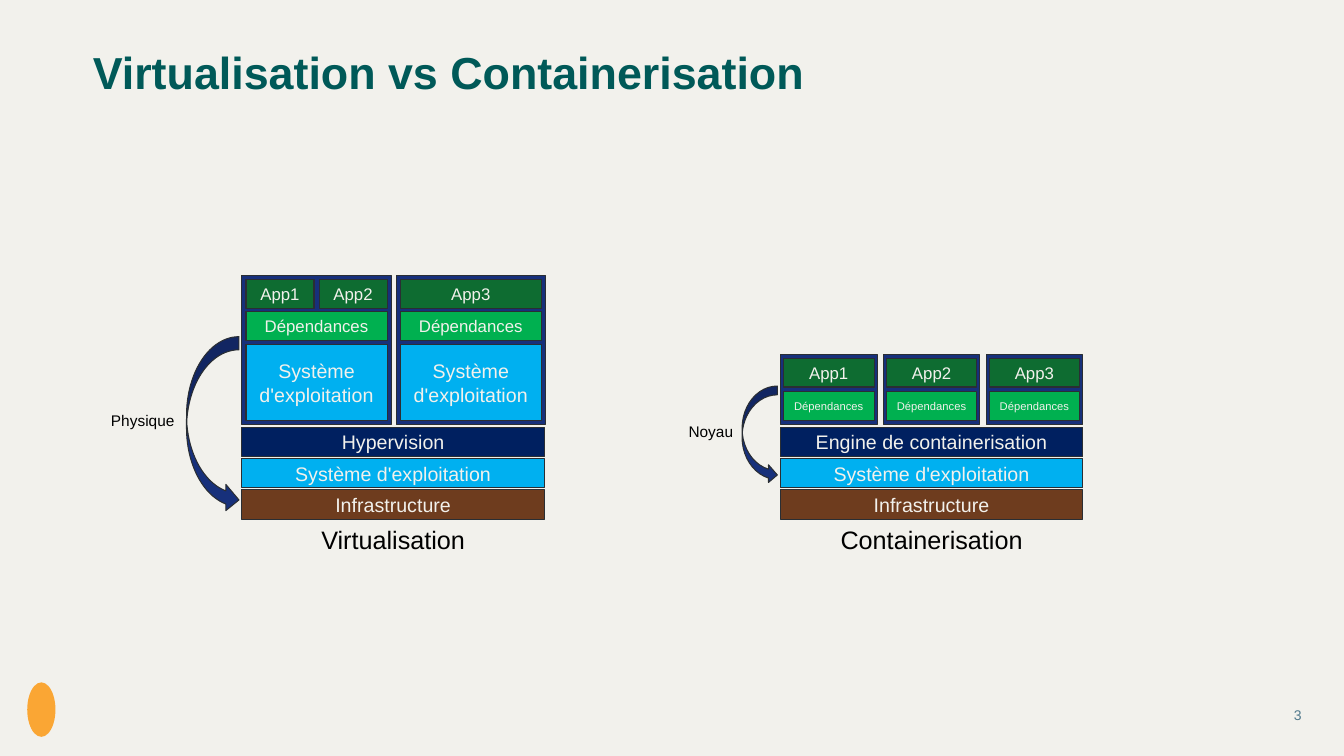
from pptx import Presentation
from pptx import util as u
from pptx.dml.color import RGBColor
from pptx.enum import shapes, text

CREAM = RGBColor(0xF2, 0xF1, 0xEC)
TEAL = RGBColor(0x00, 0x59, 0x58)
SLATE = RGBColor(0x51, 0x79, 0x8C)
ORANGE = RGBColor(0xFA, 0xA6, 0x34)
OUTLINE = RGBColor(0x2A, 0x2E, 0x33)
BLACK = RGBColor(0, 0, 0)
BLUE = RGBColor(0x17, 0x30, 0x7B)
NAVY = RGBColor(0x00, 0x20, 0x60)
SKY = RGBColor(0x00, 0xB0, 0xF0)
GREEN = RGBColor(0x00, 0xB0, 0x50)
FOREST = RGBColor(0x0E, 0x6C, 0x31)
BROWN = RGBColor(0x6E, 0x3C, 0x1E)

SHAPE = shapes.MSO_SHAPE
ALIGN = text.PP_ALIGN
MIDDLE = text.MSO_ANCHOR.MIDDLE

prs = Presentation()
prs.slide_width, prs.slide_height = u.Inches(13.33), u.Inches(7.5)
slide = prs.slides.add_slide(prs.slide_layouts[5])
slide.background.fill.solid()
slide.background.fill.fore_color.rgb = CREAM


def add_block(x, y, w, h, fill, label="", size=14, kind=SHAPE.RECTANGLE):
    sp = slide.shapes.add_shape(kind, *map(u.Inches, (x, y, w, h)))
    sp.shadow.inherit = False
    sp.fill.solid()
    sp.fill.fore_color.rgb = fill
    sp.line.color.rgb = OUTLINE
    sp.line.width = u.Pt(0.75)
    if label:
        tf = sp.text_frame
        tf.text = label
        tf.vertical_anchor = MIDDLE
        for p in tf.paragraphs:
            p.alignment = ALIGN.CENTER
            p.font.name, p.font.size = "Arial", u.Pt(size)
            p.font.color.rgb = CREAM
    return sp


def add_label(x, y, w, h, label, size, align, color=BLACK):
    tf = slide.shapes.add_textbox(*map(u.Inches, (x, y, w, h))).text_frame
    tf.word_wrap = True
    p = tf.paragraphs[0]
    p.text, p.alignment = label, align
    p.font.name, p.font.size = "Arial", u.Pt(size)
    p.font.color.rgb = color
    return tf


# Title
title = slide.shapes.title
title.left, title.top = u.Inches(0.92), u.Inches(0.5)
title.width, title.height = u.Inches(11.52), u.Inches(1.45)
tf = title.text_frame
tf.text = "Virtualisation vs Containerisation"
tf.auto_size = text.MSO_AUTO_SIZE.NONE
tf.vertical_anchor = text.MSO_ANCHOR.TOP
tf.margin_left = tf.margin_right = tf.margin_top = tf.margin_bottom = 0
p = tf.paragraphs[0]
p.alignment, p.line_spacing = ALIGN.LEFT, 0.9
p.font.name, p.font.size, p.font.bold = "Arial", u.Pt(32), True
p.font.color.rgb = TEAL

# Shared layers under each stack, with its caption
VM_X, BOX_X, STACK_W = 2.4, 7.74, 3
LAYER_Y, LAYER_STEP, ROW_H = 4.24, 0.31, 0.29
for x, engine, caption in ((VM_X, "Hypervision", "Virtualisation"),
                           (BOX_X, "Engine de containerisation", "Containerisation")):
    layers = ((engine, NAVY), ("Système d'exploitation", SKY), ("Infrastructure", BROWN))
    for i, (name, fill) in enumerate(layers):
        add_block(x, LAYER_Y + i * LAYER_STEP, STACK_W, ROW_H, fill, name)
    add_label(x, 5.15, STACK_W, 0.4, caption, 18, ALIGN.CENTER)

# Virtual machines
VM_TOP, VM_SIZE, VM_STEP, VM_INNER, APP_GAP = 2.73, 1.48, 1.53, 1.4, 0.05
for i, apps in enumerate((("App1", "App2"), ("App3",))):
    x = VM_X + i * VM_STEP
    inner = x + 0.04
    add_block(x, VM_TOP, VM_SIZE, VM_SIZE, BLUE)
    add_block(inner, 3.42, VM_INNER, 0.75, SKY, "Système\nd'exploitation")
    add_block(inner, 3.09, VM_INNER, ROW_H, GREEN, "Dépendances", 12)
    app_w = (VM_INNER - APP_GAP * (len(apps) - 1)) / len(apps)
    for j, app in enumerate(apps):
        add_block(inner + j * (app_w + APP_GAP), 2.77, app_w, ROW_H, FOREST, app, 12)

# Containers
for i, app in enumerate(("App1", "App2", "App3")):
    x = BOX_X + i * 1.02
    add_block(x, 3.52, 0.96, 0.69, BLUE)
    add_block(x + 0.03, 3.88, 0.9, ROW_H, GREEN, "Dépendances", 8)
    add_block(x + 0.03, 3.56, 0.9, 0.28, FOREST, app, 12)

# Curved arrows down to the shared layer
add_block(1.85, 3.34, 0.52, 1.75, BLUE, kind=SHAPE.CURVED_RIGHT_ARROW)
add_label(0.96, 4.03, 0.87, 0.27, "Physique", 11, ALIGN.RIGHT)
add_block(7.36, 3.83, 0.35, 0.97, BLUE, kind=SHAPE.CURVED_RIGHT_ARROW)
add_label(6.72, 4.14, 0.65, 0.27, "Noyau", 11, ALIGN.RIGHT)

# Footer: plain accent and slide number
accent = add_block(0.27, 6.77, 0.28, 0.54, ORANGE, kind=SHAPE.OVAL)
accent.line.fill.background()
tf = add_label(12.35, 6.89, 0.56, 0.4, "3", 10, ALIGN.RIGHT, SLATE)
tf.vertical_anchor = MIDDLE
tf.margin_left = tf.margin_right = tf.margin_top = tf.margin_bottom = 0

prs.save("out.pptx")
